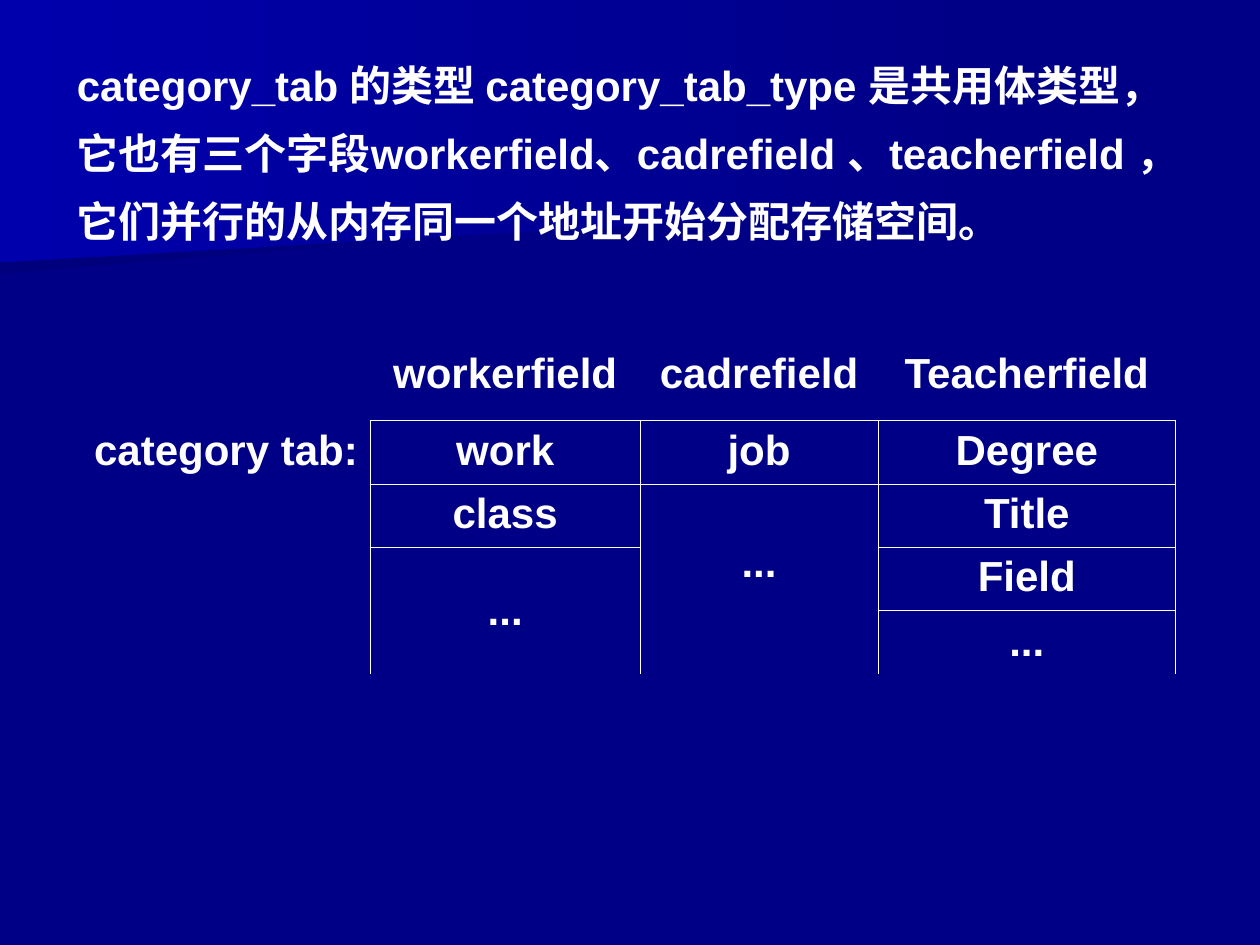
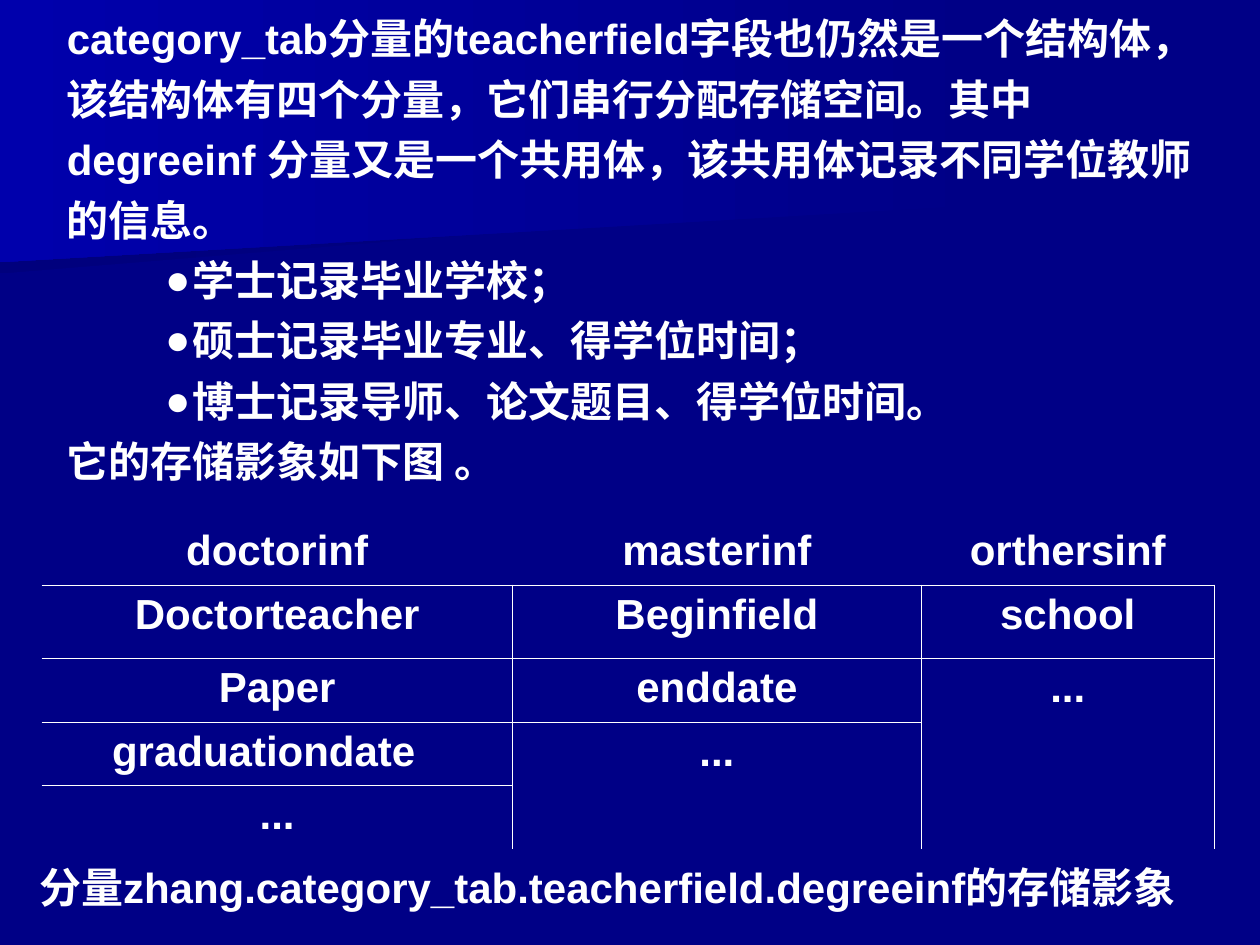
"""Build two slides on how the category_tab union is stored."""
from dataclasses import dataclass

from lxml import etree
from pptx import Presentation
from pptx.dml.color import RGBColor
from pptx.enum.lang import MSO_LANGUAGE_ID
from pptx.enum.text import MSO_ANCHOR, MSO_AUTO_SIZE, PP_ALIGN
from pptx.oxml.ns import qn
from pptx.util import Inches, Pt

LEFT, MID, RIGHT = PP_ALIGN.LEFT, PP_ALIGN.CENTER, PP_ALIGN.RIGHT
TOP, CENTER = MSO_ANCHOR.TOP, MSO_ANCHOR.MIDDLE
GROW = MSO_AUTO_SIZE.SHAPE_TO_FIT_TEXT
CHINESE = MSO_LANGUAGE_ID.SIMPLIFIED_CHINESE
WIDE, HIGH = Inches(10), Inches(7.5)


@dataclass(frozen=True)
class Theme:
    back: str = "000086"
    dark: str = "00007D"
    glow: str = "0000AC"
    ink: str = "FFFFFF"
    font: str = "Arial"
    size: float = 24
    rule: float = 0.45


THEME = Theme()
BANDS = [
    ([(77.8, 20.4), (0, 28.93), (0, 13.47), (77.9, 13.47)], THEME.dark),
    ([(79.2, 21.6), (0, 27.73), (0, 0), (79.2, 0)], THEME.glow),
]
UNION_TEXT = [
    "category_tab 的类型 category_tab_type 是共用体类型，它也有三个字段workerfield、"
    "cadrefield 、teacherfield ，它们并行的从内存同一个地址开始分配存储空间。",
]
DEGREE_TEXT = [
    "category_tab分量的teacherfield字段也仍然是一个结构体，该结构体有四个分量，"
    "它们串行分配存储空间。其中 degreeinf 分量又是一个共用体，该共用体记录不同学位教师的信息。",
    "学士记录毕业学校；",
    "硕士记录毕业专业、得学位时间；",
    "博士记录导师、论文题目、得学位时间。",
    "它的存储影象如下图 。",
]
UNION_ROWS = [
    ["", "workerfield", "cadrefield", "Teacherfield"],
    ["category tab:", "work", "job", "Degree"],
    ["", "class", "...", "Title"],
    ["", "...", "", "Field"],
    ["", "", "", "..."],
]
DEGREE_ROWS = [
    ["", "doctorinf", "masterinf", "orthersinf"],
    ["", "Doctorteacher", "Beginfield", "school"],
    ["", "Paper", "enddate", "..."],
    ["", "graduationdate", "...", ""],
    ["", "...", "", ""],
    ["分量zhang.category_tab.teacherfield.degreeinf的存储影象", "", "", ""],
]


def across(share):
    """Turn a percentage of the slide's width into a length."""
    return int(WIDE * share / 100)


def down(share):
    """Turn a percentage of the slide's height into a length."""
    return int(HIGH * share / 100)


def mark(para, sign):
    """Give a paragraph a hanging bullet, or none."""
    props = para._p.get_or_add_pPr()
    props.set("marL", str(Inches(1) if sign else 0))
    props.set("indent", str(Inches(-0.22) if sign else 0))
    if sign:
        hue = etree.SubElement(props, qn("a:buClr"))
        etree.SubElement(hue, qn("a:srgbClr"), val=THEME.ink)
        etree.SubElement(props, qn("a:buFont"), typeface=THEME.font)
        etree.SubElement(props, qn("a:buChar"), char=sign)
    else:
        etree.SubElement(props, qn("a:buNone"))


def write(para, text, align=LEFT, space=1.0, sign=None):
    """Fill a paragraph with text in the theme's type."""
    mark(para, sign)
    para.alignment = align
    para.line_spacing = space
    para.space_before = Pt(0)
    run = para.add_run()
    run.text = text
    font = run.font
    font.name, font.size, font.bold = THEME.font, Pt(THEME.size), True
    font.color.rgb = RGBColor.from_string(THEME.ink)
    font.language_id = CHINESE


def add_band(slide, master, points, tint):
    """Put a gradient band behind everything on the master."""
    spots = [(across(x), down(y)) for x, y in points]
    pen = slide.shapes.build_freeform(*spots[0])
    pen.add_line_segments(spots[1:])
    band = pen.convert_to_shape()
    band.shadow.inherit = False
    band.line.fill.background()
    band.fill.gradient()
    band.fill.gradient_angle = 180
    for stop, hue in zip(band.fill.gradient_stops, (THEME.back, tint)):
        stop.color.rgb = RGBColor.from_string(hue)
    master.shapes._spTree.append(band._element)


def add_body(slide, box, lines, space, anchor=TOP, listed=()):
    """Place the body text; the listed lines get bullets."""
    slide.shapes.title._element.getparent().remove(slide.shapes.title._element)
    body = slide.placeholders[1]
    left, top, width, height = box
    body.left, body.top = across(left), down(top)
    body.width, body.height = across(width), down(height)
    frame = body.text_frame
    frame.word_wrap, frame.auto_size = True, GROW
    frame.vertical_anchor = anchor
    for i, text in enumerate(lines):
        para = frame.add_paragraph() if i else frame.paragraphs[0]
        write(para, text, space=space, sign="●" if i in listed else None)


def find_sides(rows, row, col, last, edge):
    """Name the sides of a cell that carry a line."""
    inside = 1 <= row < last
    if col == 0:
        return "R" if inside and edge else ""
    sides = ""
    if inside:
        sides = "LR" if edge or col > 1 else "R"
        if rows[row][col]:
            sides += "T"
    if row + 1 < last and rows[row + 1][col]:
        sides += "B"
    return sides


def rule_cell(cell, sides):
    """Draw lines on the named sides and clear the others."""
    props = cell._tc.get_or_add_tcPr()
    for side in "LRTB":
        line = etree.SubElement(props, qn("a:ln" + side), w=str(Pt(THEME.rule)))
        if side in sides:
            fill = etree.SubElement(line, qn("a:solidFill"))
            etree.SubElement(fill, qn("a:srgbClr"), val=THEME.ink)
        else:
            etree.SubElement(line, qn("a:noFill"))
    cell.fill.background()


def add_grid(slide, spot, rows, widths, heights, last, edge=True, aligns=None):
    """Add a table whose boxes stay open at the bottom."""
    aligns = aligns or {}
    table = slide.shapes.add_table(
        len(rows), len(widths), across(spot[0]), down(spot[1]),
        across(sum(widths)), down(sum(heights))).table
    table.first_row = table.horz_banding = False
    for column, width in zip(table.columns, widths):
        column.width = across(width)
    for line, height in zip(table.rows, heights):
        line.height = down(height)
    for r, texts in enumerate(rows):
        for c, text in enumerate(texts):
            cell = table.cell(r, c)
            rule_cell(cell, find_sides(rows, r, c, last, edge))
            if text:
                write(cell.text_frame.paragraphs[0], text, aligns.get((r, c), MID))
    return table


def join(table, *spans):
    """Merge each pair of corner cells."""
    for first, end in spans:
        table.cell(*first).merge(table.cell(*end))


def build_union(slide):
    """Show the three fields that share one address."""
    add_body(slide, (5.1, 3.73, 90.6, 22.93), UNION_TEXT, 1.35)
    table = add_grid(slide, (3.5, 36.4), UNION_ROWS, [25.9, 21.4, 18.9, 23.6],
                     [8.13] + [6.7] * 4, 5, aligns={(1, 0): RIGHT})
    join(table, ((1, 0), (4, 0)), ((2, 2), (4, 2)), ((3, 1), (4, 1)))
    for spot in ((3, 1), (4, 3)):
        table.cell(*spot).vertical_anchor = CENTER
    table.cell(2, 2).margin_top = Inches(0.44)


def build_degree(slide):
    """Show how the degree union is laid out."""
    add_body(slide, (4.3, -0.4, 93.7, 52.53), DEGREE_TEXT, 1.2, CENTER, (1, 2, 3))
    table = add_grid(slide, (0, 55.2), DEGREE_ROWS, [3.3, 37.4, 32.4, 23.3],
                     [6.7, 7.8] + [6.7] * 4, 5, False, {(3, 1): LEFT})
    join(table, ((0, 0), (4, 0)), ((5, 0), (5, 3)))
    table.cell(3, 1).margin_left = Inches(0.56)


def main():
    """Build and save the deck."""
    deck = Presentation()
    deck.slide_width, deck.slide_height = WIDE, HIGH
    master = deck.slide_master
    fill = master.background.fill
    fill.solid()
    fill.fore_color.rgb = RGBColor.from_string(THEME.back)
    union, degree = [deck.slides.add_slide(deck.slide_layouts[1]) for _ in range(2)]
    for points, tint in BANDS:
        add_band(union, master, points, tint)
    build_union(union)
    build_degree(degree)
    deck.save("out.pptx")


if __name__ == "__main__":
    main()
